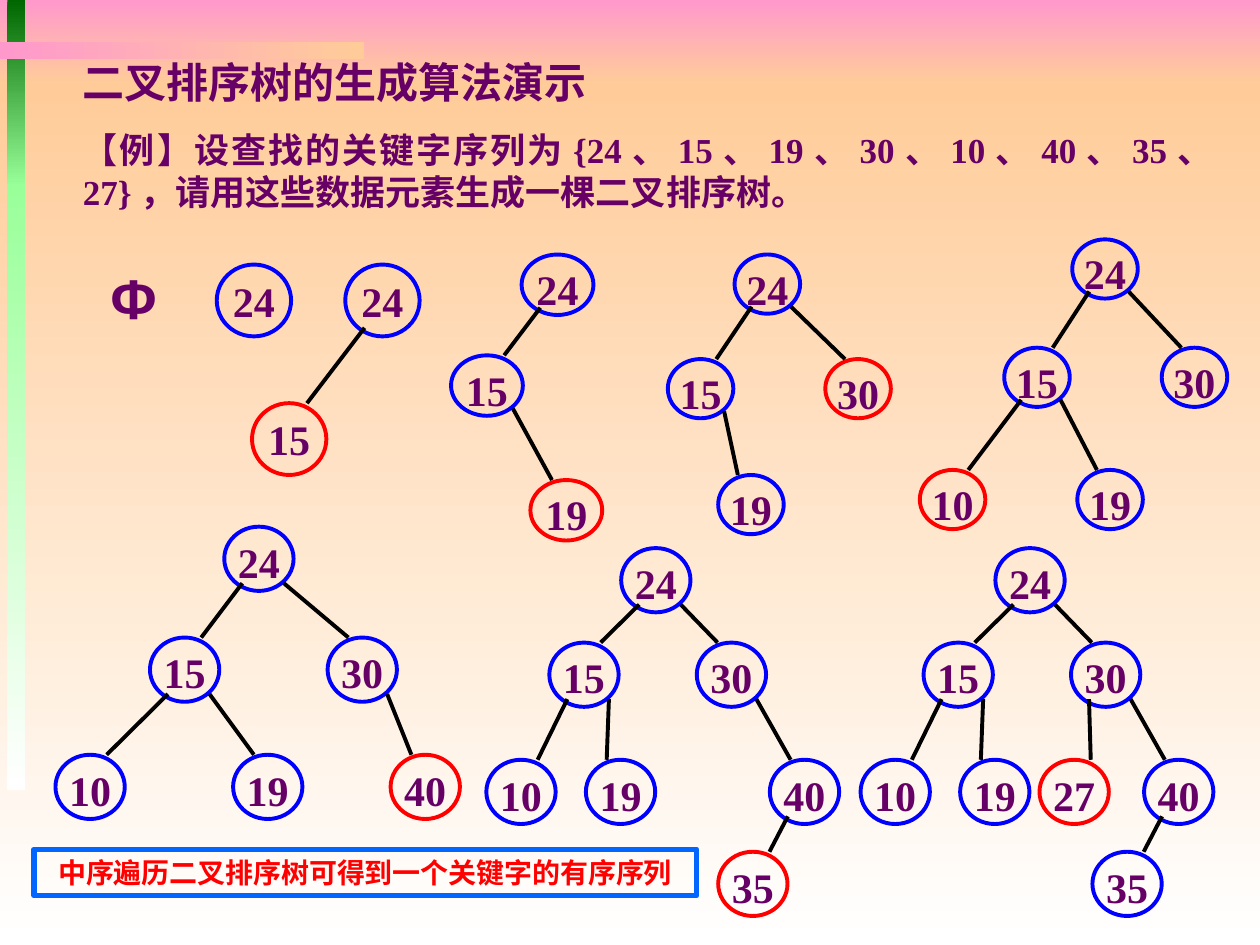
from lxml.etree import SubElement as sub
from pptx import Presentation
from pptx.dml.color import RGBColor as RGB
from pptx.enum.shapes import MSO_CONNECTOR as CON, MSO_SHAPE as KIND
from pptx.enum.text import MSO_ANCHOR as ANC, PP_ALIGN as AL
from pptx.oxml.ns import qn
from pptx.util import Inches, Pt

COLS, ROWS = 1000, 750
CELL = Inches(10) // COLS
HUE = {"pink": "FF99CC", "peach": "FFCC99", "white": "FFFFFF",
       "dark": "006600", "green": "99FF99", "ink": "660066",
       "old": "0000FF", "new": "FF0000", "edge": "000000", "frame": "0066FF"}
SERIF, SANS = "Times New Roman", "Arial"

KEYS = [24, 15, 19, 30, 10, 40, 35, 27]
BIG, WIDE, SMALL, LOW = (59, 57), (57, 48), (52, 47), (55, 51)
LATE = (0, -57, -28, 60, -107, 118, 77, 35)
FALLS = (0, 75, 168, 241)
TREES = [
    ((172, 210), BIG, (0,), (0,)),
    ((274, 210), BIG, (0, -74), (0, 110)),
    ((414, 202), WIDE, (0, -56, 7), (0, 80, 179)),
    ((583, 202), SMALL, (0, -53, -13, 72), (0, 83, 175)),
    ((851, 190), SMALL, (0, -54, 4, 71, -121), (0, 86, 183)),
    ((178, 418), LOW, (0, -59, 7, 82, -134, 132), (0, 88, 181)),
    ((493, 435), LOW, LATE[:-1], FALLS),
    ((790, 435), LOW, LATE, FALLS),
]


def span(*cells):
    """Turn grid cells into lengths."""
    return [round(cell * CELL) for cell in cells]


def tint(name):
    """Look up a colour."""
    return RGB.from_string(HUE[name])


def style(font, size, name, hue):
    """Set a bold font."""
    font.size, font.name, font.bold = Pt(size), name, True
    font.color.rgb = tint(hue)


def band(slide, box, start, end, angle=270):
    """Draw one blended strip of the backdrop."""
    strip = slide.shapes.add_shape(KIND.RECTANGLE, *span(*box))
    strip.shadow.inherit = False
    strip.line.fill.background()
    strip.fill.gradient()
    strip.fill.gradient_angle = angle
    for stop, hue, place in zip(strip.fill.gradient_stops, (start, end), (0, 1)):
        stop.color.rgb = tint(hue)
        stop.position = place


def back(slide):
    """Draw the backdrop."""
    band(slide, (0, 0, COLS, 67), "pink", "peach")
    band(slide, (0, 67, COLS, ROWS - 67), "peach", "white")
    band(slide, (6, 0, 14, 148), "dark", "green")
    band(slide, (6, 146, 14, 481), "green", "white")
    band(slide, (0, 33, 289, 14), "pink", "peach", 0)


def outline(shapes, kind, box, hue, width):
    """Draw an unfilled shape with a coloured line."""
    shape = shapes.add_shape(kind, *span(*box))
    shape.shadow.inherit = False
    shape.fill.background()
    shape.line.color.rgb = tint(hue)
    shape.line.width = Pt(width)
    return shape


def write(shape, text, size, name, hue, anchor):
    """Put one centred line of text in a shape."""
    frame = shape.text_frame
    frame.vertical_anchor = anchor
    para = frame.paragraphs[0]
    para.text, para.alignment = text, AL.CENTER
    style(para.font, size, name, hue)
    return frame


def node(shapes, box, key, hue):
    """Draw a ringed key."""
    ring = outline(shapes, KIND.OVAL, box, hue, 2.25)
    frame = write(ring, str(key), 24, SERIF, "ink", ANC.TOP)
    frame.margin_left = frame.margin_right = 0
    frame.margin_top = frame.margin_bottom = 0


def link(shapes, top, low, size):
    """Draw an edge from a parent's lower rim to its child's top."""
    wide, high = size
    out, into = (0.26, 0.74) if low[0] < top[0] else (0.86, 0.3)
    ends = (top[0] + out * wide, top[1] + 0.88 * high,
            low[0] + into * wide, low[1])
    line = shapes.add_connector(CON.STRAIGHT, *span(*ends))
    line.line.color.rgb = tint("edge")
    line.line.width = Pt(2.25)
    sub(line._element.spPr, qn("a:effectLst"))


def grow(keys):
    """Insert keys in turn; give each one's parent and depth."""
    kids, found = {}, {}
    for key in keys:
        above, depth, spot = None, 0, keys[0]
        while spot in found:
            above, depth = spot, depth + 1
            spot = kids.get((above, key > above))
        kids[above, above is not None and key > above] = key
        found[key] = above, depth
    return found


def tree(slide, place, size, shifts, falls):
    """Draw the search tree of as many keys as there are shifts."""
    left, top = place
    shapes = slide.shapes.add_group_shape().shapes
    keys = KEYS[:len(shifts)]
    spots = {}
    for shift, (key, (above, depth)) in zip(shifts, grow(keys).items()):
        spots[key] = left + shift, top + falls[depth]
        fresh = above is not None and key == keys[-1]
        node(shapes, spots[key] + size, key, "new" if fresh else "old")
        if above is not None:
            link(shapes, spots[above], spots[key], size)


def intro(slide, box):
    """Write the title and the task."""
    frame = slide.shapes.add_textbox(*span(*box)).text_frame
    frame.word_wrap = True
    title, task = frame.paragraphs[0], frame.add_paragraph()
    title.text = "二叉排序树的生成算法演示"
    style(title.font, 24, SANS, "ink")
    row = "{" + "、".join(map(str, KEYS)) + "}"
    for text, name in [("【例】设查找的关键字序列为", SANS), (row, SERIF),
                       ("，请用这些数据元素生成一棵二叉排序树。", SANS)]:
        run = task.add_run()
        run.text = text
        style(run.font, 20, name, "ink")
    task.space_before = Pt(12.5)
    title.alignment = task.alignment = AL.JUSTIFY


def empty(slide, box):
    """Write the sign of the empty tree."""
    sign = slide.shapes.add_textbox(*span(*box))
    write(sign, "Φ", 32, SANS, "ink", ANC.MIDDLE).word_wrap = False


def note(slide, box):
    """Write the framed conclusion."""
    frame = outline(slide.shapes, KIND.RECTANGLE, box, "frame", 3)
    write(frame, "中序遍历二叉排序树可得到一个关键字的有序序列",
          16, SERIF, "new", ANC.MIDDLE)


def main():
    """Build and save the slide."""
    deck = Presentation()
    deck.slide_width, deck.slide_height = span(COLS, ROWS)
    slide = deck.slides.add_slide(deck.slide_layouts[6])
    back(slide)
    for part in TREES:
        tree(slide, *part)
    intro(slide, (56, 40, 923, 185))
    empty(slide, (78, 204, 54, 64))
    note(slide, (27, 674, 526, 37))
    deck.save("out.pptx")


if __name__ == "__main__":
    main()
